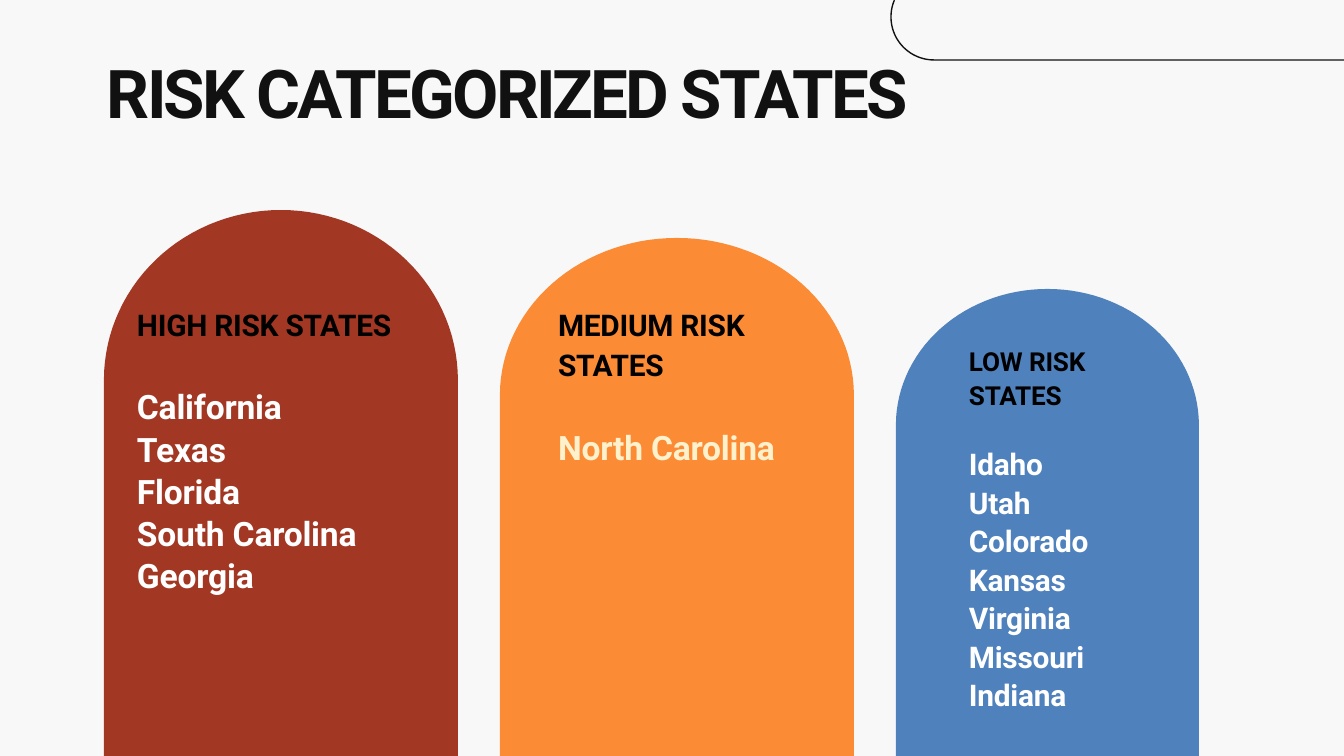
from math import cos, pi, radians, sin

from pptx import Presentation
from pptx.dml.color import RGBColor
from pptx.enum.text import MSO_ANCHOR as Anchor, MSO_AUTO_SIZE as AutoSize, PP_ALIGN as Align
from pptx.util import Emu, Pt

SCALE = 914400 / 134.4  # EMU in one px
WIDTH, HEIGHT = 1344, 756
ARC_STEPS = 60


def px(length):
    return Emu(round(length * SCALE))


def color(value):
    return RGBColor.from_string(value)


def arc(center_x, center_y, radius_x, radius_y, start, end):
    """Points along an ellipse, angles in degrees, clockwise on the slide."""
    angles = [radians(start + (end - start) * i / ARC_STEPS) for i in range(ARC_STEPS + 1)]
    return [(center_x + radius_x * cos(a), center_y + radius_y * sin(a)) for a in angles]


class SlideBuilder:
    font_name = "Roboto"
    ink = "111111"

    def __init__(self, slide):
        self.slide = slide

    def background(self, fill):
        self.slide.background.fill.solid()
        self.slide.background.fill.fore_color.rgb = color(fill)

    def outline(self, points, closed, fill=None, line=None):
        points = [(px(x), px(y)) for x, y in points]
        builder = self.slide.shapes.build_freeform(*points[0])
        builder.add_line_segments(points[1:], close=closed)
        shape = builder.convert_to_shape()
        shape.shadow.inherit = False
        if fill:
            shape.fill.solid()
            shape.fill.fore_color.rgb = color(fill)
        else:
            shape.fill.background()
        if line:
            shape.line.color.rgb = color(line)
            shape.line.width = Pt(0.75)
        else:
            shape.line.fill.background()

    def arch(self, left, top, width, dome, fill):
        radius = width / 2
        points = arc(left + radius, top + dome, radius, dome, 180, 360)
        points += [(left + width, HEIGHT), (left, HEIGHT)]
        self.outline(points, True, fill=fill)

    def frame(self, shape, box, inset_left, inset_top):
        shape.left, shape.top, shape.width, shape.height = map(px, box)
        frame = shape.text_frame
        frame.word_wrap = True
        frame.auto_size = AutoSize.NONE
        frame.vertical_anchor = Anchor.TOP
        frame.margin_left, frame.margin_top = px(inset_left), px(inset_top)
        frame.margin_right = frame.margin_bottom = 0
        return frame

    def style(self, paragraph, size, ink, tracking):
        paragraph.alignment = Align.LEFT
        font = paragraph.font
        font.name, font.size, font.bold = self.font_name, Pt(size), True
        font.color.rgb = color(ink)
        for run in paragraph.runs:
            run._r.get_or_add_rPr().set("spc", str(tracking))

    def title(self, text):
        frame = self.frame(self.slide.shapes.title, (56, 24, 1230, 109), 51, 27)
        frame.text = text
        self.style(frame.paragraphs[0], 36, self.ink, -150)

    def state_list(self, box, inset, headings, states, ink, heading_size, state_size,
                   gap, before, leading=None):
        frame = self.frame(self.slide.shapes.add_textbox(0, 0, 0, 0), box, inset, 1)
        frame.text = "\n".join(headings + states)
        for index, paragraph in enumerate(frame.paragraphs):
            is_heading = index < len(headings)
            self.style(paragraph, heading_size if is_heading else state_size,
                       "000000" if is_heading else ink, -10)
            if leading:
                paragraph.line_spacing = Pt(leading)
            if index:
                paragraph.space_before = Pt(gap if index == len(headings) else before)


def main():
    presentation = Presentation()
    presentation.slide_width, presentation.slide_height = px(WIDTH), px(HEIGHT)
    builder = SlideBuilder(presentation.slides.add_slide(presentation.slide_layouts[5]))

    # Background and corner line
    builder.background("F8F8F8")
    builder.outline([(WIDTH, 60)] + arc(934, 17, 43, 43, 90, 203), False, line=builder.ink)

    # Arches, one per risk level
    builder.arch(896, 289, 303, 136, "4F81BD")
    builder.arch(500, 238, 354, 157, "FB8B34")
    builder.arch(104, 210, 354, 170, "A23723")

    # Lists of states
    builder.state_list((77, 301, 355, 340), 60, ["HIGH RISK STATES"],
                       ["California", "Texas", "Florida", "South Carolina", "Georgia"],
                       "FFFFFF", 16, 18, gap=23.6, before=1, leading=21.6)
    builder.state_list((555, 301, 290, 168), 3, ["MEDIUM RISK STATES"], ["North Carolina"],
                       "FFF1CC", 16, 18, gap=23.6, before=1, leading=21.6)
    builder.state_list((922, 344, 251, 400), 47, ["LOW RISK", "STATES"],
                       ["Idaho", "Utah", "Colorado", "Kansas", "Virginia", "Missouri", "Indiana"],
                       "FFFFFF", 14, 16, gap=19.2, before=1.4)

    # Title
    builder.title("RISK CATEGORIZED STATES")
    presentation.save("out.pptx")


if __name__ == "__main__":
    main()
